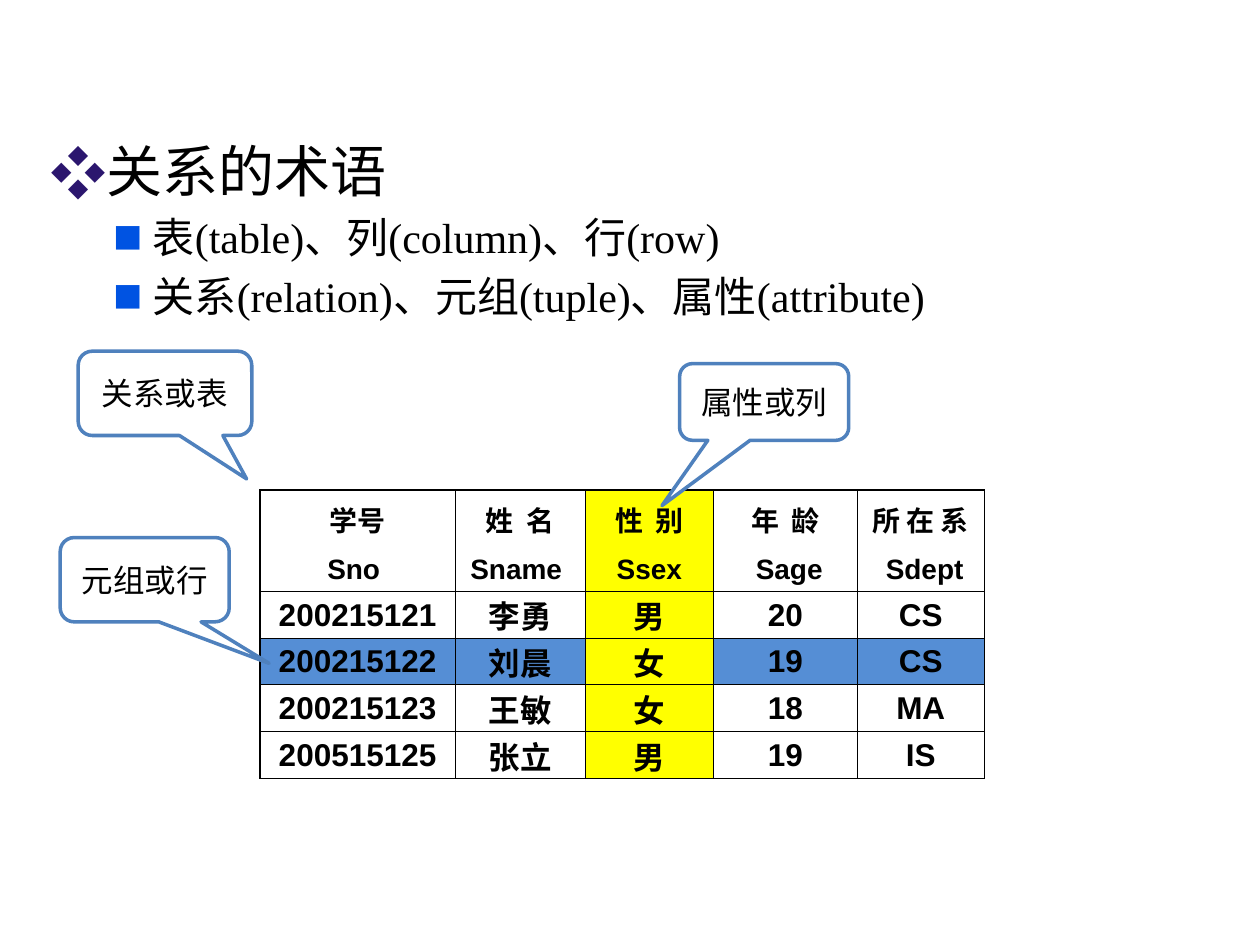
import pptx
import pptx.dml.color
import pptx.enum.shapes
import pptx.enum.text
import pptx.oxml.ns
import pptx.oxml.xmlchemy
import pptx.util
from lxml import etree

Pt = pptx.util.Pt
qn = pptx.oxml.ns.qn

COLORS = {
    "text": "000000",
    "white": "FFFFFF",
    "diamond": "2B166E",
    "square": "0053E2",
    "column": "FFFF00",
    "row": "558ED5",
    "callout": "4F81BD",
}
CJK_FONT = "Noto Sans CJK SC"

BULLETS = [
    # text, level, size, left margin, hanging indent, bullet, colour, bullet size
    ("关系的术语", 0, 32, 27, 27, "❖", "diamond", 100),
    ("表(table)、列(column)、行(row)", 1, 24, 58.5, 22.5, "■", "square", 70),
    ("关系(relation)、元组(tuple)、属性(attribute)", 1, 24, 58.5, 22.5, "■", "square", 70),
]

HEADER_ROWS = 2
HIGHLIGHT_COLUMN = 2
HIGHLIGHT_ROW = 3
COLUMN_WIDTHS = [111.6, 74.2, 73.6, 81.8, 73]
ROW_HEIGHTS = [33.2, 24.6] + [26.8] * 4
STUDENTS = [
    ["学号", "姓  名", "性  别", "年  龄", "所 在 系"],
    ["Sno ", "Sname ", " Ssex ", " Sage", " Sdept"],
    ["200215121", "李勇", "男", "20", "CS"],
    ["200215122", "刘晨", "女", "19", "CS"],
    ["200215123", "王敏", "女", "18", "MA"],
    ["200515125", "张立", "男", "19", "IS"],
]

CALLOUTS = [
    # text, box, pointer tip as a share of the box
    ("属性或列", (388.4, 207.8, 96.6, 43.8), (-0.605, 1.353)),
    ("元组或行", (34.4, 307.2, 96.6, 48.2), (0.736, 0.992)),
    ("关系或表", (44.7, 200.7, 99.2, 48.2), (0.47, 1.015)),
]


def rgb(name):
    return pptx.dml.color.RGBColor.from_string(COLORS[name])


def set_font(paragraph, size, latin, bold=False):
    font = paragraph.font
    font.size = Pt(size)
    font.bold = bold
    font.color.rgb = rgb("text")
    font.name = latin
    properties = paragraph._p.pPr.find(qn("a:defRPr"))
    etree.SubElement(properties, qn("a:ea"), typeface=CJK_FONT)


def set_bullet(paragraph, margin, hanging, character, color, percent):
    properties = paragraph._p.get_or_add_pPr()
    properties.set("marL", str(Pt(margin)))
    properties.set("indent", str(-Pt(hanging)))
    bullet_color = etree.SubElement(properties, qn("a:buClr"))
    etree.SubElement(bullet_color, qn("a:srgbClr"), val=COLORS[color])
    etree.SubElement(properties, qn("a:buSzPct"), val=str(percent * 1000))
    etree.SubElement(properties, qn("a:buFont"), typeface=CJK_FONT)
    etree.SubElement(properties, qn("a:buChar"), char=character)


def place_bullets(body, box):
    body.left, body.top, body.width, body.height = map(Pt, box)
    frame = body.text_frame
    for index, (text, level, size, *bullet) in enumerate(BULLETS):
        paragraph = frame.paragraphs[0] if index == 0 else frame.add_paragraph()
        paragraph.text = text
        paragraph.level = level
        set_bullet(paragraph, *bullet)
        set_font(paragraph, size, "Times New Roman")


def set_borders(cell, widths):
    """Draw the cell's sides; a width of 0 leaves a side without a line."""
    properties = cell._tc.get_or_add_tcPr()
    for position, (side, width) in enumerate(widths.items()):
        line = etree.Element(qn(f"a:ln{side}"), w=str(Pt(width)))
        if width:
            fill = etree.SubElement(line, qn("a:solidFill"))
            etree.SubElement(fill, qn("a:srgbClr"), val=COLORS["text"])
        else:
            etree.SubElement(line, qn("a:noFill"))
        properties.insert(position, line)


def fill_cell(cell, row, column):
    if column == HIGHLIGHT_COLUMN:
        cell.fill.solid()
        cell.fill.fore_color.rgb = rgb("column")
    elif row == HIGHLIGHT_ROW:
        cell.fill.solid()
        cell.fill.fore_color.rgb = rgb("row")
    else:
        cell.fill.background()


def place_table(slide, left, top):
    last_row, last_column = len(ROW_HEIGHTS) - 1, len(COLUMN_WIDTHS) - 1
    table = slide.shapes.add_table(
        len(ROW_HEIGHTS), len(COLUMN_WIDTHS), Pt(left), Pt(top),
        Pt(sum(COLUMN_WIDTHS)), Pt(sum(ROW_HEIGHTS))).table
    table.first_row = table.horz_banding = False
    for column, width in zip(table.columns, COLUMN_WIDTHS):
        column.width = Pt(width)
    for row, height in zip(table.rows, ROW_HEIGHTS):
        row.height = Pt(height)

    for r, values in enumerate(STUDENTS):
        for c, value in enumerate(values):
            cell = table.cell(r, c)
            cell.text = value
            cell.vertical_anchor = pptx.enum.text.MSO_ANCHOR.MIDDLE
            cell.margin_left = cell.margin_right = cell.margin_top = Pt(0.7)
            cell.margin_bottom = 0
            paragraph = cell.text_frame.paragraphs[0]
            paragraph.alignment = pptx.enum.text.PP_ALIGN.CENTER
            set_font(paragraph, 16 if r < HEADER_ROWS else 18,
                     "Arial" if value.isascii() else CJK_FONT, bold=True)
            fill_cell(cell, r, c)
            # The two header rows read as one, with no line between them
            set_borders(cell, {
                "L": 1 if c == 0 else 0.5,
                "R": 1 if c == last_column else 0.5,
                "T": {0: 1, 1: 0}.get(r, 0.5),
                "B": {0: 0, last_row: 1}.get(r, 0.5),
            })


def place_callout(slide, text, box, tip):
    shape = slide.shapes.add_shape(
        pptx.enum.shapes.MSO_SHAPE.ROUNDED_RECTANGULAR_CALLOUT, *map(Pt, box))
    shape.adjustments[0], shape.adjustments[1] = tip
    shape.shadow.inherit = False
    shape.fill.solid()
    shape.fill.fore_color.rgb = rgb("white")
    shape.line.color.rgb = rgb("callout")
    shape.line.width = Pt(2)
    frame = shape.text_frame
    frame.word_wrap = True
    frame.vertical_anchor = pptx.enum.text.MSO_ANCHOR.MIDDLE
    paragraph = frame.paragraphs[0]
    paragraph.text = text
    paragraph.alignment = pptx.enum.text.PP_ALIGN.CENTER
    set_font(paragraph, 18, "Calibri")


def main():
    presentation = pptx.Presentation()
    presentation.slide_width, presentation.slide_height = Pt(720), Pt(540)
    slide = presentation.slides.add_slide(presentation.slide_layouts[1])

    # The slide has no title, only the bulleted body
    title = slide.shapes.title._element
    title.getparent().remove(title)
    place_bullets(slide.placeholders[1], (21.6, 74.2, 659.5, 476.6))

    # Student table with its callouts on top
    place_table(slide, 148.5, 280)
    for callout in CALLOUTS:
        place_callout(slide, *callout)

    presentation.save("out.pptx")


if __name__ == "__main__":
    main()
